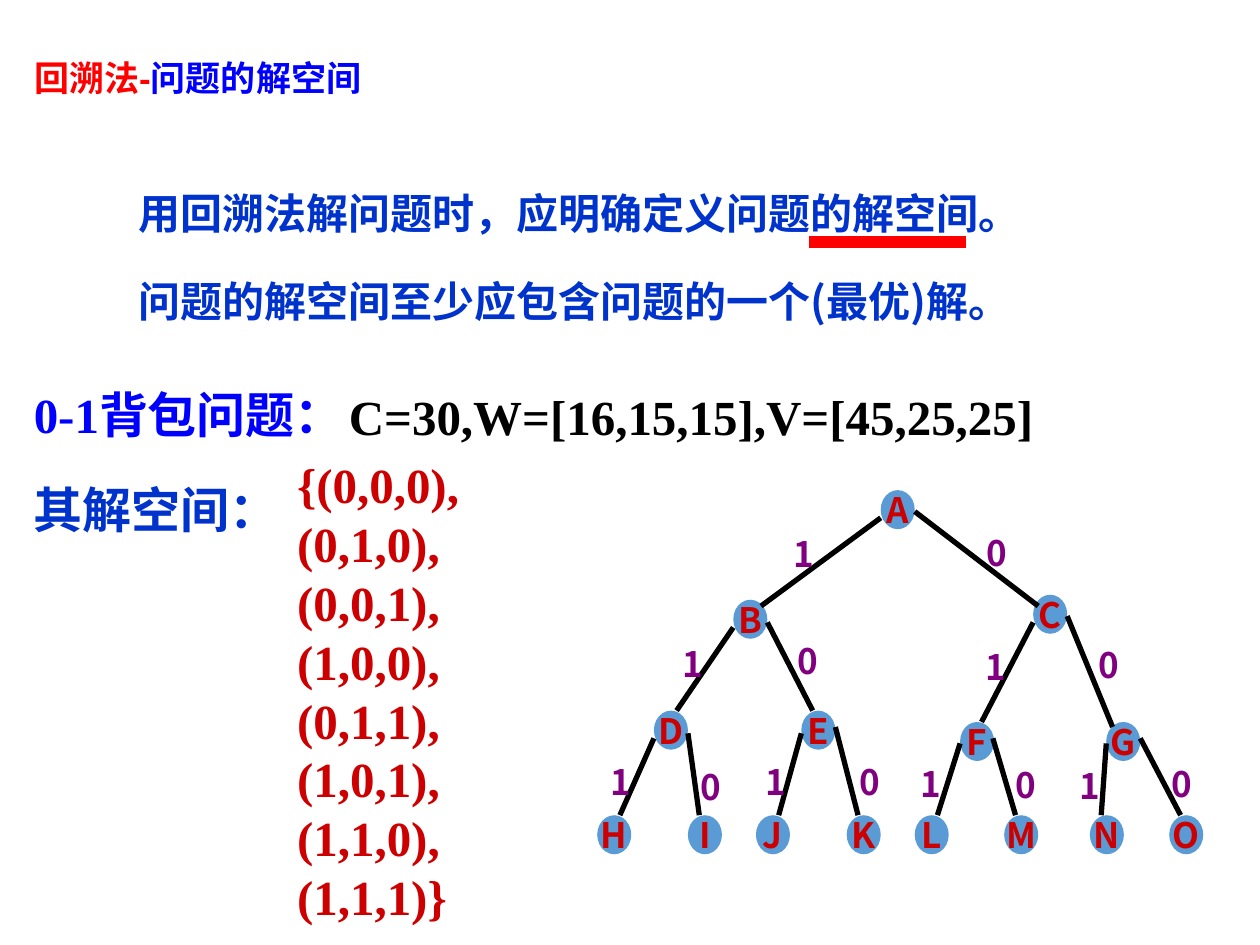
from dataclasses import dataclass
from typing import NamedTuple

import pptx
import pptx.dml.color
import pptx.enum.shapes
import pptx.enum.text
import pptx.oxml
import pptx.oxml.ns
import pptx.util

Inches = pptx.util.Inches
Anchor = pptx.enum.text.MSO_ANCHOR
Align = pptx.enum.text.PP_ALIGN


@dataclass(frozen=True)
class Theme:
    red: str = "FF0000"
    blue: str = "0000FF"
    royal: str = "0033CC"
    crimson: str = "CC0000"
    purple: str = "800080"
    black: str = "000000"
    node: str = "5B9BD5"
    small: int = 20
    medium: int = 24
    large: int = 28
    sans: str = "Arial"
    serif: str = "Times New Roman"
    chinese: str = "Noto Sans CJK SC"


THEME = Theme()
NODE_SIZE = (0.27, 0.31)
BIT_SIZE = (0.25, 0.36)


class Run(NamedTuple):
    text: str
    size: int
    color: str
    font: str


class Box(NamedTuple):
    left: float
    top: float
    width: float
    height: float
    lines: list[list[Run]]
    wrap: bool = False
    spacing: float = 1.0


class Node(NamedTuple):
    name: str
    left: float
    top: float


class Branch(NamedTuple):
    start: tuple[float, float]
    end: tuple[float, float]
    bit: str
    bit_place: tuple[float, float]


SOLUTIONS = ["{(0,0,0),", "(0,1,0),", "(0,0,1),", "(1,0,0),",
             "(0,1,1),", "(1,0,1),", "(1,1,0),", "(1,1,1)}"]
STATEMENTS = ["用回溯法解问题时，应明确定义问题的解空间。",
              "问题的解空间至少应包含问题的一个(最优)解。"]

TITLE = Box(0.17, 0.4, 3.17, 0.43, [[
    Run("回溯法-", THEME.small, THEME.red, THEME.sans),
    Run("问题的解空间", THEME.small, THEME.blue, THEME.sans)]], wrap=True)

BOXES = [
    Box(0.17, 3, 2.87, 0.57, [[
        Run("0-1", THEME.large, THEME.blue, THEME.serif),
        Run("背包问题：", THEME.large, THEME.blue, THEME.chinese)]]),
    Box(0.17, 3.76, 2.17, 0.57, [[
        Run("其解空间：", THEME.large, THEME.royal, THEME.sans)]]),
    Box(2.26, 3.56, 1.5, 3.87, [
        [Run(text, THEME.large, THEME.crimson, THEME.serif)] for text in SOLUTIONS]),
    Box(1, 1.14, 8.03, 1.5, [
        [Run(text, THEME.medium, THEME.royal, THEME.chinese)] for text in STATEMENTS],
        wrap=True, spacing=1.75),
    Box(2.67, 3.02, 5.65, 0.57, [[
        Run("C=30,W=[16,15,15],V=[45,25,25]", THEME.large, THEME.black, THEME.serif)]]),
]

LEAF_TOP = 6.47
NODES = [
    Node("A", 6.99, 3.89), Node("B", 5.82, 4.76), Node("C", 8.2, 4.72),
    Node("D", 5.19, 5.64), Node("E", 6.36, 5.64),
    Node("F", 7.62, 5.73), Node("G", 8.78, 5.73),
    *(Node(name, left, LEAF_TOP) for name, left in zip(
        "HIJKLMNO", (4.74, 5.46, 6, 6.72, 7.26, 7.97, 8.65, 9.28))),
]

BRANCHES = [
    Branch((6.99, 4.11), (6.04, 4.81), "1", (6.2, 4.18)),
    Branch((7.26, 4.06), (8.24, 4.81), "0", (7.73, 4.17)),
    Branch((5.82, 4.98), (5.37, 5.64), "1", (5.32, 5.05)),
    Branch((6.09, 4.94), (6.45, 5.64), "0", (6.23, 5.03)),
    Branch((8.2, 4.94), (7.79, 5.73), "1", (7.72, 5.07)),
    Branch((8.47, 4.89), (8.83, 5.77), "0", (8.62, 5.06)),
    Branch((5.19, 5.86), (4.92, LEAF_TOP), "1", (4.75, 5.99)),
    Branch((5.46, 5.82), (5.55, LEAF_TOP), "0", (5.46, 6.03)),
    Branch((6.36, 5.82), (6.18, LEAF_TOP), "1", (5.98, 5.99)),
    Branch((6.63, 5.77), (6.81, LEAF_TOP), "0", (6.72, 5.99)),
    Branch((7.62, 5.9), (7.44, LEAF_TOP), "1", (7.21, 6)),
    Branch((7.88, 5.86), (8.06, LEAF_TOP), "0", (7.96, 6.01)),
    Branch((8.78, 5.9), (8.74, LEAF_TOP), "1", (8.47, 6.02)),
    Branch((9.05, 5.86), (9.37, LEAF_TOP), "0", (9.2, 6)),
]


def rgb(value: str) -> pptx.dml.color.RGBColor:
    return pptx.dml.color.RGBColor.from_string(value)


def apply_format(target: object, values: dict[str, object]) -> None:
    for name, value in values.items():
        setattr(target, name, value)


def write_text(shape, lines: list[list[Run]], wrap: bool = False, spacing: float = 1.0,
               anchor=Anchor.TOP, alignment=Align.LEFT) -> None:
    frame = shape.text_frame
    apply_format(frame, {
        "word_wrap": wrap, "vertical_anchor": anchor,
        "auto_size": pptx.enum.text.MSO_AUTO_SIZE.NONE,
        "margin_left": Inches(0.1), "margin_right": Inches(0.1),
        "margin_top": Inches(0.05), "margin_bottom": Inches(0.05)})
    for index, line in enumerate(lines):
        paragraph = frame.add_paragraph() if index else frame.paragraphs[0]
        apply_format(paragraph, {"alignment": alignment, "line_spacing": spacing})
        for item in line:
            run = paragraph.add_run()
            run.text = item.text
            apply_format(run.font, {
                "size": pptx.util.Pt(item.size), "bold": True, "name": item.font})
            run.font.color.rgb = rgb(item.color)
            east_asian = pptx.oxml.parse_xml(
                f'<a:ea {pptx.oxml.ns.nsdecls("a")} typeface="{THEME.chinese}"/>')
            run.font._element.append(east_asian)


def add_box(slide, box: Box) -> None:
    shape = slide.shapes.add_textbox(*map(Inches, box[:4]))
    write_text(shape, box.lines, box.wrap, box.spacing)


def add_title(slide, box: Box) -> None:
    title = slide.shapes.title
    apply_format(title, dict(zip(("left", "top", "width", "height"), map(Inches, box[:4]))))
    write_text(title, box.lines, box.wrap)


def add_line(slide, start: tuple[float, float], end: tuple[float, float],
             color: str, width: float) -> None:
    connector = slide.shapes.add_connector(
        pptx.enum.shapes.MSO_CONNECTOR.STRAIGHT, *map(Inches, start + end))
    connector.line.color.rgb = rgb(color)
    connector.line.width = pptx.util.Pt(width)
    connector._element.spPr.append(
        pptx.oxml.parse_xml(f'<a:effectLst {pptx.oxml.ns.nsdecls("a")}/>'))


def add_node(slide, node: Node) -> None:
    shape = slide.shapes.add_shape(
        pptx.enum.shapes.MSO_SHAPE.OVAL,
        *map(Inches, (node.left, node.top, *NODE_SIZE)))
    shape.shadow.inherit = False
    shape.fill.solid()
    shape.fill.fore_color.rgb = rgb(THEME.node)
    shape.line.fill.background()
    label = Run(node.name, THEME.small, THEME.crimson, THEME.chinese)
    write_text(shape, [[label]], anchor=Anchor.MIDDLE, alignment=Align.CENTER)


def main() -> None:
    presentation = pptx.Presentation()
    apply_format(presentation, {"slide_width": Inches(10), "slide_height": Inches(7.5)})
    slide = presentation.slides.add_slide(presentation.slide_layouts.get_by_name("Title Only"))
    add_title(slide, TITLE)
    for box in BOXES:
        add_box(slide, box)
    add_line(slide, (6.42, 1.92), (7.67, 1.92), THEME.red, 7)
    for node in NODES:
        add_node(slide, node)
    for branch in BRANCHES:
        add_line(slide, branch.start, branch.end, THEME.black, 3)
    for branch in BRANCHES:
        label = Run(branch.bit, THEME.small, THEME.purple, THEME.chinese)
        add_box(slide, Box(*branch.bit_place, *BIT_SIZE, [[label]], wrap=True))
    presentation.save("out.pptx")


if __name__ == "__main__":
    main()
